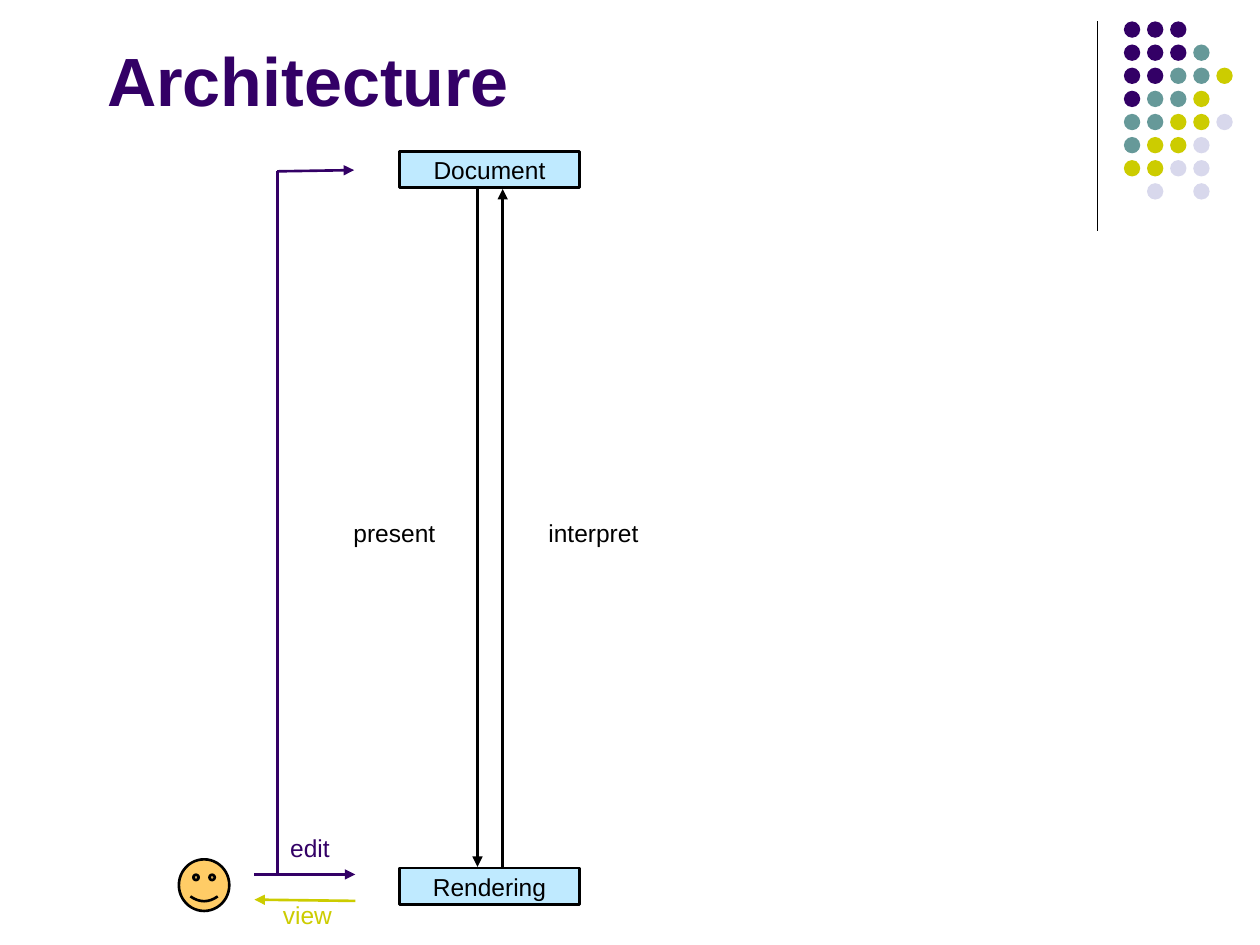
from lxml.etree import SubElement
from pptx import Presentation
from pptx.dml.color import RGBColor as RGB
from pptx.enum.shapes import MSO_CONNECTOR as CONN, MSO_SHAPE as SHAPE
from pptx.enum.text import MSO_ANCHOR as ANCHOR, PP_ALIGN as ALIGN
from pptx.oxml.ns import qn
from pptx.util import Inches, Pt

COLORS = {
    "ink": "000000", "purple": "330066", "teal": "669999", "lime": "CCCC00",
    "lilac": "D8D8EC", "box": "BFEAFF", "face": "FFCC66",
}
DOT_COLORS = {"P": "purple", "T": "teal", "L": "lime", "V": "lilac"}
DOT_ROWS = ["PPP", "PPPT", "PPTTL", "PTTL", "TTLLV", "TLLV", "LLVV", " V V"]
DOT_LEFT, DOT_TOP, DOT_STEP, DOT_SIZE = 8.92, 0.17, 0.18, 0.13

LINES = [
    ((8.71, 0.17), (8.71, 1.83), "ink", False, 0.75),
    ((3.99, 6.93), (3.99, 1.5), "ink", True, 1.5),
    ((3.79, 1.5), (3.79, 6.88), "ink", True, 1.5),
    ((2.2, 1.36), (2.81, 1.35), "purple", True, 1.5),
    ((2.2, 1.36), (2.2, 6.93), "purple", False, 1.5),
    ((2.02, 6.94), (2.82, 6.94), "purple", True, 1.5),
    ((2.82, 7.15), (2.02, 7.14), "lime", True, 1.5),
]
BOXES = [("Document", 1.2), ("Rendering", 6.89)]
LABELS = [
    ("edit", 2, 6.58, "purple"), ("view", 1.98, 7.11, "lime"),
    ("present", 2.67, 4.08, "ink"), ("interpret", 4.25, 4.08, "ink"),
]


def color(name):
    """Return the named palette colour."""
    return RGB.from_string(COLORS[name])


def set_text(sp, text, name, size=14, bold=False, align=ALIGN.CENTER,
             anchor=ANCHOR.MIDDLE, wrap=False, inset=(0.05, 0.02)):
    """Write one formatted paragraph into a shape."""
    tf = sp.text_frame
    dx, dy = map(Inches, inset)
    frame = {"word_wrap": wrap, "vertical_anchor": anchor, "margin_left": dx,
             "margin_right": dx, "margin_top": dy, "margin_bottom": dy}
    for key, value in frame.items():
        setattr(tf, key, value)
    p = tf.paragraphs[0]
    p.alignment = align
    r = p.add_run()
    r.text = text
    for key, value in {"name": "Arial", "size": Pt(size), "bold": bold}.items():
        setattr(r.font, key, value)
    r.font.color.rgb = color(name)


def add_shape(s, kind, box, fill, outlined=True):
    """Add a filled preset shape with an optional black outline."""
    sp = s.shapes.add_shape(kind, *map(Inches, box))
    sp.shadow.inherit = False
    sp.fill.solid()
    sp.fill.fore_color.rgb = color(fill)
    if outlined:
        sp.line.color.rgb = color("ink")
        sp.line.width = Pt(1.5)
    else:
        sp.line.fill.background()
    return sp


def add_line(s, start, end, name, arrow, width):
    """Add a straight connector, with an arrowhead at its end if asked."""
    sp = s.shapes.add_connector(CONN.STRAIGHT, *map(Inches, start + end))
    sp.line.color.rgb = color(name)
    sp.line.width = Pt(width)
    if arrow:
        SubElement(sp.line._get_or_add_ln(), qn("a:tailEnd"), type="triangle")
    SubElement(sp._element.spPr, qn("a:effectLst"))


def add_dots(s):
    """Draw the decorative dot grid row by row."""
    step = DOT_STEP + 0.0035
    for row, codes in enumerate(DOT_ROWS):
        for col, code in enumerate(codes):
            if code in DOT_COLORS:
                box = (DOT_LEFT + col * step, DOT_TOP + row * step, DOT_SIZE, DOT_SIZE)
                add_shape(s, SHAPE.OVAL, box, DOT_COLORS[code], outlined=False)


def add_title(s, text):
    """Place and format the title placeholder."""
    sp = s.shapes.title
    frame = {"left": 0.75, "top": 0, "width": 8.5, "height": 1.25}
    for key, value in frame.items():
        setattr(sp, key, Inches(value))
    set_text(sp, text, "purple", size=39, bold=True, align=ALIGN.LEFT,
             wrap=True, inset=(0.1, 0.05))


def add_label(s, text, left, top, name):
    """Add a centred caption beside an arrow."""
    sp = s.shapes.add_textbox(*map(Inches, (left, top, 0.92, 0.33)))
    set_text(sp, text, name, anchor=ANCHOR.TOP, inset=(0.05, 0.03))


def main():
    """Build the architecture slide."""
    prs = Presentation()
    prs.slide_width, prs.slide_height = Inches(10), Inches(7.5)
    s = prs.slides.add_slide(prs.slide_layouts[5])
    add_title(s, "Architecture")
    add_dots(s)
    for line in LINES:
        add_line(s, *line)
    for text, top in BOXES:
        sp = add_shape(s, SHAPE.RECTANGLE, (3.17, top, 1.43, 0.29), "box")
        set_text(sp, text, "ink")
    add_shape(s, SHAPE.SMILEY_FACE, (1.42, 6.82, 0.4, 0.41), "face")
    for label in LABELS:
        add_label(s, *label)
    prs.save("out.pptx")


if __name__ == "__main__":
    main()
